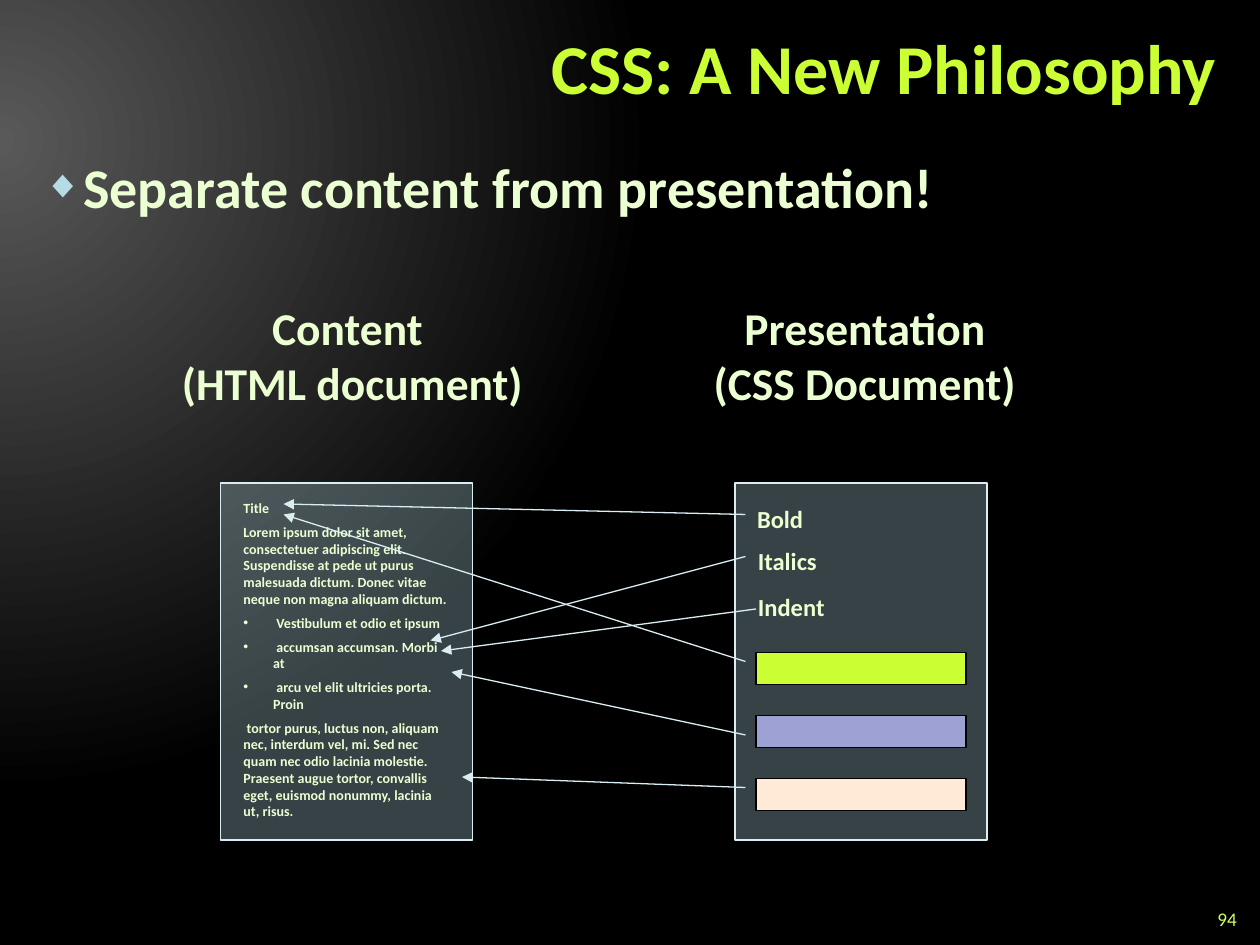
from pptx import Presentation
from pptx.dml.color import RGBColor as RGB
from pptx.enum.shapes import MSO_CONNECTOR as LINE, MSO_SHAPE as SHAPE
from pptx.enum.text import MSO_ANCHOR as ANCHOR, MSO_AUTO_SIZE as AUTO, PP_ALIGN as ALIGN
from pptx.oxml.ns import qn
from pptx.util import Pt
from lxml.etree import SubElement as Sub

LIME = RGB(0xCC, 0xFF, 0x33)
PALE = RGB(0xEB, 0xFF, 0xD2)
NUM = RGB(0xCC, 0xFF, 0x66)
ICE = RGB(0xB5, 0xDB, 0xE5)
EDGE = RGB(0xDA, 0xED, 0xF2)
LILAC = RGB(0x9D, 0xA1, 0xD4)
PEACH = RGB(0xFF, 0xEA, 0xD8)
GREY = RGB(0x59, 0x59, 0x59)
BLACK = RGB(0, 0, 0)

# Content: boxes are left, top, width, height in points
TITLE = "CSS: A New Philosophy"
POINT = "Separate content from presentation!"
HEADS = [
    (["Content ", "(HTML document)"], (91.5, 168, 220, 70.5)),
    (["Presentation", "(CSS Document)"], (394.5, 168, 199.5, 70.5)),
]
PAGE = [  # text, bulleted
    ("Title", False),
    ("Lorem ipsum dolor sit amet, consectetuer adipiscing elit. Suspendisse at pede "
     "ut purus malesuada dictum. Donec vitae neque non magna aliquam dictum.", False),
    (" Vestibulum et odio et ipsum", True),
    (" accumsan accumsan. Morbi at", True),
    (" arcu vel elit ultricies porta. Proin", True),
    (" tortor purus, luctus non, aliquam nec, interdum vel, mi. Sed nec quam nec odio "
     "lacinia molestie. Praesent augue tortor, convallis eget, euismod nonummy, "
     "lacinia ut, risus.", False),
]
STYLES = [
    ("Bold", (425.5, 284.5, 42.5, 24)),
    ("Italics", (426, 308.5, 50.5, 24)),
    ("Indent", (426, 334.5, 54.5, 24)),
]
PANELS = [126, 420]
COLORS = [LIME, LILAC, PEACH]
ARROWS = [  # start, end
    ((426, 294), (162, 288)),
    ((426, 318), (246, 366)),
    ((432, 348), (252, 372)),
    ((426, 378), (162, 294)),
    ((426, 420), (258, 384)),
    ((426, 450), (264, 444)),
]


def style(para, size, color=PALE, bold=True, **form):
    look = {"name": "Calibri", "size": Pt(size), "bold": bold}
    for key, val in look.items():
        setattr(para.font, key, val)
    para.font.color.rgb = color
    for key, val in form.items():
        setattr(para, key, val)


def bullet(para, char, indent, color=None, scale=None):
    props = para._p.get_or_add_pPr()
    props.set("marL", str(Pt(indent)))
    props.set("indent", str(-Pt(indent)))
    if color is not None:
        Sub(Sub(props, qn("a:buClr")), qn("a:srgbClr"), val=str(color))
    if scale:
        Sub(props, qn("a:buSzPct"), val=str(scale * 1000))
    Sub(props, qn("a:buFont"), typeface="Arial")
    Sub(props, qn("a:buChar"), char=char)


def text(lines, box, wrap=True, auto=AUTO.NONE):
    frame = slide.shapes.add_textbox(*map(Pt, box)).text_frame
    frame.text = "\n".join(lines)
    frame.word_wrap = wrap
    frame.auto_size = auto
    return frame


def block(box, fill, edge, alpha=None):
    shape = slide.shapes.add_shape(SHAPE.RECTANGLE, *map(Pt, box))
    shape.shadow.inherit = False
    shape.fill.solid()
    shape.fill.fore_color.rgb = fill
    shape.line.color.rgb = edge
    shape.line.width = Pt(0.75)
    if alpha:
        tint = shape.element.spPr.find(qn("a:solidFill"))[0]
        Sub(tint, qn("a:alpha"), val=str(alpha * 1000))


def arrow(start, end):
    line = slide.shapes.add_connector(LINE.STRAIGHT, *map(Pt, start + end))
    line.line.color.rgb = EDGE
    line.line.width = Pt(0.75)
    Sub(line.line._get_or_add_ln(), qn("a:tailEnd"), type="triangle")
    Sub(line.element.spPr, qn("a:effectLst"))


deck = Presentation()
deck.slide_width, deck.slide_height = Pt(720), Pt(540)
slide = deck.slides.add_slide(deck.slide_layouts[5])

# Background: radial glow from the upper left
back = slide.background.fill
back.gradient()
for stop, (place, color) in zip(back.gradient_stops, [(0, GREY), (0.83, BLACK)]):
    stop.position = place
    stop.color.rgb = color
grad = slide.element.find(".//" + qn("a:gradFill"))
grad.remove(grad.find(qn("a:lin")))
glow = Sub(grad, qn("a:path"))
glow.set("path", "circle")
Sub(glow, qn("a:fillToRect"), l="20000", t="30000", r="135000", b="100000")

# Title, main point and page number
title = slide.shapes.title
for key, val in zip(("left", "top", "width", "height"), (144, 6, 558, 72)):
    setattr(title, key, Pt(val))
frame = title.text_frame
frame.text = TITLE
frame.auto_size = AUTO.NONE
frame.vertical_anchor = ANCHOR.MIDDLE
style(frame.paragraphs[0], 40, LIME, alignment=ALIGN.RIGHT, line_spacing=Pt(40))

para = text([POINT], (18, 84, 684, 444)).paragraphs[0]
bullet(para, "◆", 22.5, ICE, 70)
style(para, 32, line_spacing=Pt(38), space_after=Pt(6))

frame = text(["94"], (678, 516, 36, 18))
frame.vertical_anchor = ANCHOR.MIDDLE
style(frame.paragraphs[0], 11, NUM, False, alignment=ALIGN.RIGHT)

# Panels and colour swatches
for left in PANELS:
    block((left, 276, 144, 204), ICE, EDGE, 30)
for row, color in enumerate(COLORS):
    block((432, 373 + 36 * row, 120, 18), color, BLACK)

# Sample page
frame = text([line for line, _ in PAGE], (132, 282, 132, 186.5), auto=AUTO.SHAPE_TO_FIT_TEXT)
for row, (para, (_, dot)) in enumerate(zip(frame.paragraphs, PAGE)):
    if dot:
        bullet(para, "•", 17)
    style(para, 8, space_before=Pt(4 if row else 0))

# Style names and headings
for name, box in STYLES:
    style(text([name], box, False, AUTO.SHAPE_TO_FIT_TEXT).paragraphs[0], 14)
for lines, box in HEADS:
    for para in text(lines, box, False, AUTO.SHAPE_TO_FIT_TEXT).paragraphs:
        style(para, 26, alignment=ALIGN.CENTER)

# Arrows from styles to content
for start, end in ARROWS:
    arrow(start, end)

deck.save("out.pptx")
